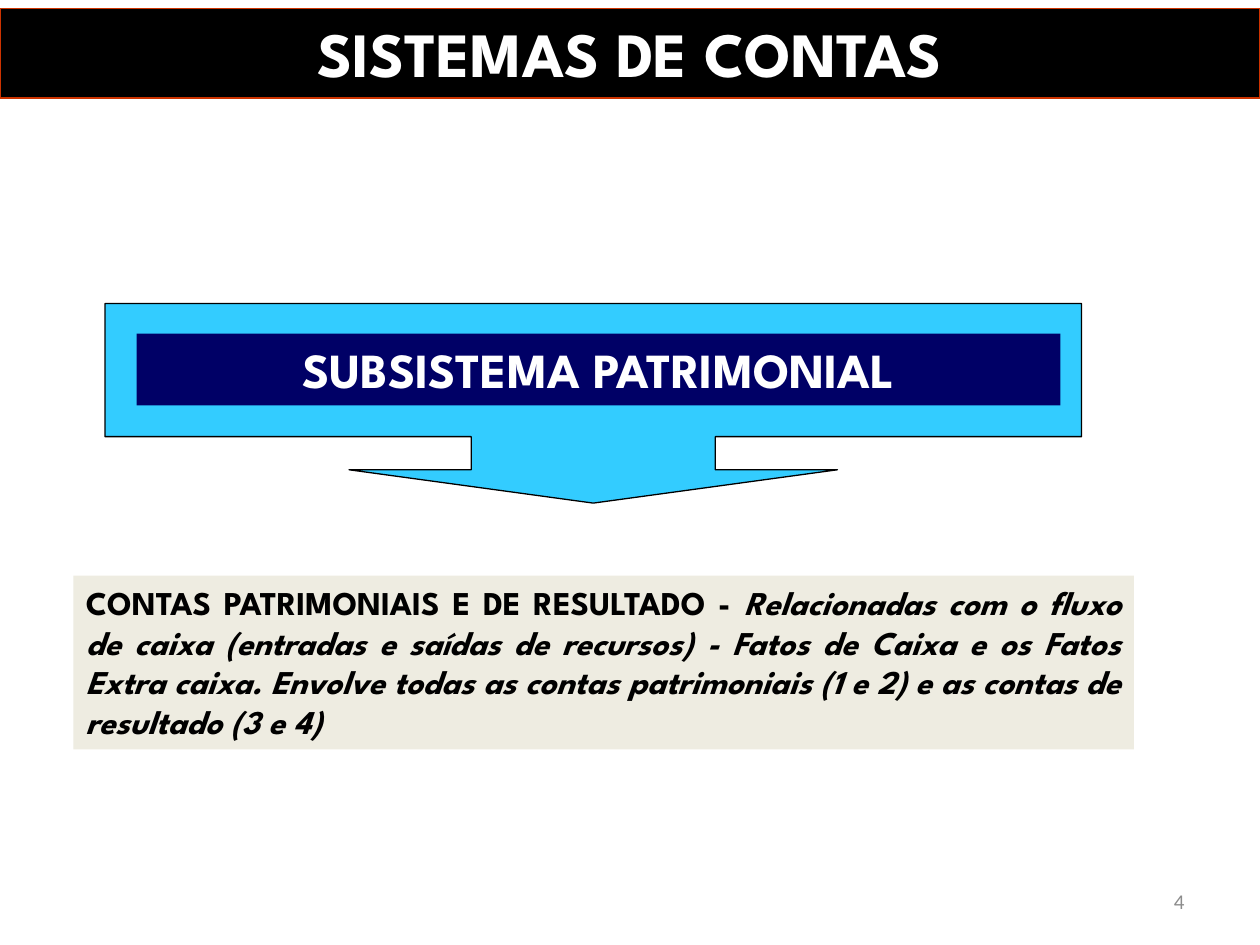
import pptx
import pptx.util
import pptx.dml.color
import pptx.enum.shapes
import pptx.enum.text

Pt = pptx.util.Pt
SHAPE = pptx.enum.shapes.MSO_SHAPE
ALIGN = pptx.enum.text.PP_ALIGN
ANCHOR = pptx.enum.text.MSO_ANCHOR
AUTO = pptx.enum.text.MSO_AUTO_SIZE
HEADING_FONT = "League Spartan"


def color(value):
    return pptx.dml.color.RGBColor.from_string(value)


def add_block(s, kind, x, y, w, h, fill, line=None):
    sp = s.shapes.add_shape(kind, Pt(x), Pt(y), Pt(w), Pt(h))
    sp.shadow.inherit = False
    sp.fill.solid()
    sp.fill.fore_color.rgb = color(fill)
    if line:
        sp.line.color.rgb = color(line)
        sp.line.width = Pt(0.75)
    else:
        sp.line.fill.background()
    return sp


def write(sp, runs, size, ink, align, font=HEADING_FONT, bold=True, anchor=ANCHOR.TOP):
    tf = sp.text_frame
    tf.word_wrap = True
    tf.vertical_anchor = anchor
    p = tf.paragraphs[0]
    p.alignment = align
    p.font.name = font
    p.font.size = Pt(size)
    p.font.bold = bold
    p.font.color.rgb = color(ink)
    for text, italic in runs:
        r = p.add_run()
        r.text = text
        if italic:
            r.font.italic = True
    return tf


def add_panel(s, x, y, w, h, fill, runs, size, ink, align, line=None):
    sp = add_block(s, SHAPE.RECTANGLE, x, y, w, h, fill, line)
    tf = write(sp, runs, size, ink, align)
    tf.auto_size = AUTO.SHAPE_TO_FIT_TEXT


def add_title(s, x, y, w, h):
    add_panel(s, x, y, w, h, "000000", [("SISTEMAS DE CONTAS", False)],
              36, "FFFFFF", ALIGN.CENTER, "CC3300")


def add_subsystem(s, x, y, w, h):
    callout = add_block(s, SHAPE.DOWN_ARROW_CALLOUT, x, y, w, h, "33CCFF", "000000")
    for i, value in enumerate((1.224, 1.224, 0.167, 0.667)):
        callout.adjustments[i] = value
    add_panel(s, x + 18, y + 17.2, w - 30, 41, "000066",
              [("SUBSISTEMA PATRIMONIAL", False)], 28, "FFFFFF", ALIGN.CENTER)


def add_description(s, x, y, w, h):
    runs = [
        ("CONTAS PATRIMONIAIS E DE RESULTADO - ", False),
        ("Relacionadas com o fluxo de caixa (entradas e saídas de recursos) - "
         "Fatos de Caixa e os Fatos Extra caixa. Envolve todas as contas "
         "patrimoniais (1 e 2) e as contas de resultado (3 e 4)", True),
    ]
    add_panel(s, x, y, w, h, "EEECE1", runs, 19, "000000", ALIGN.JUSTIFY)


def add_page_number(s, x, y, w, h):
    sp = s.shapes.add_textbox(Pt(x), Pt(y), Pt(w), Pt(h))
    write(sp, [("4", False)], 12, "8C8C8C", ALIGN.RIGHT, "Calibri", False, ANCHOR.MIDDLE)


def main():
    prs = pptx.Presentation()
    prs.slide_width, prs.slide_height = Pt(720), Pt(540)
    s = prs.slides.add_slide(prs.slide_layouts[6])
    add_page_number(s, 516, 500.5, 168, 28.75)
    add_title(s, 0, 5, 720, 51)
    add_description(s, 42, 329, 606, 99.2)
    add_subsystem(s, 60, 173.5, 558, 114)
    prs.save("out.pptx")


if __name__ == "__main__":
    main()
